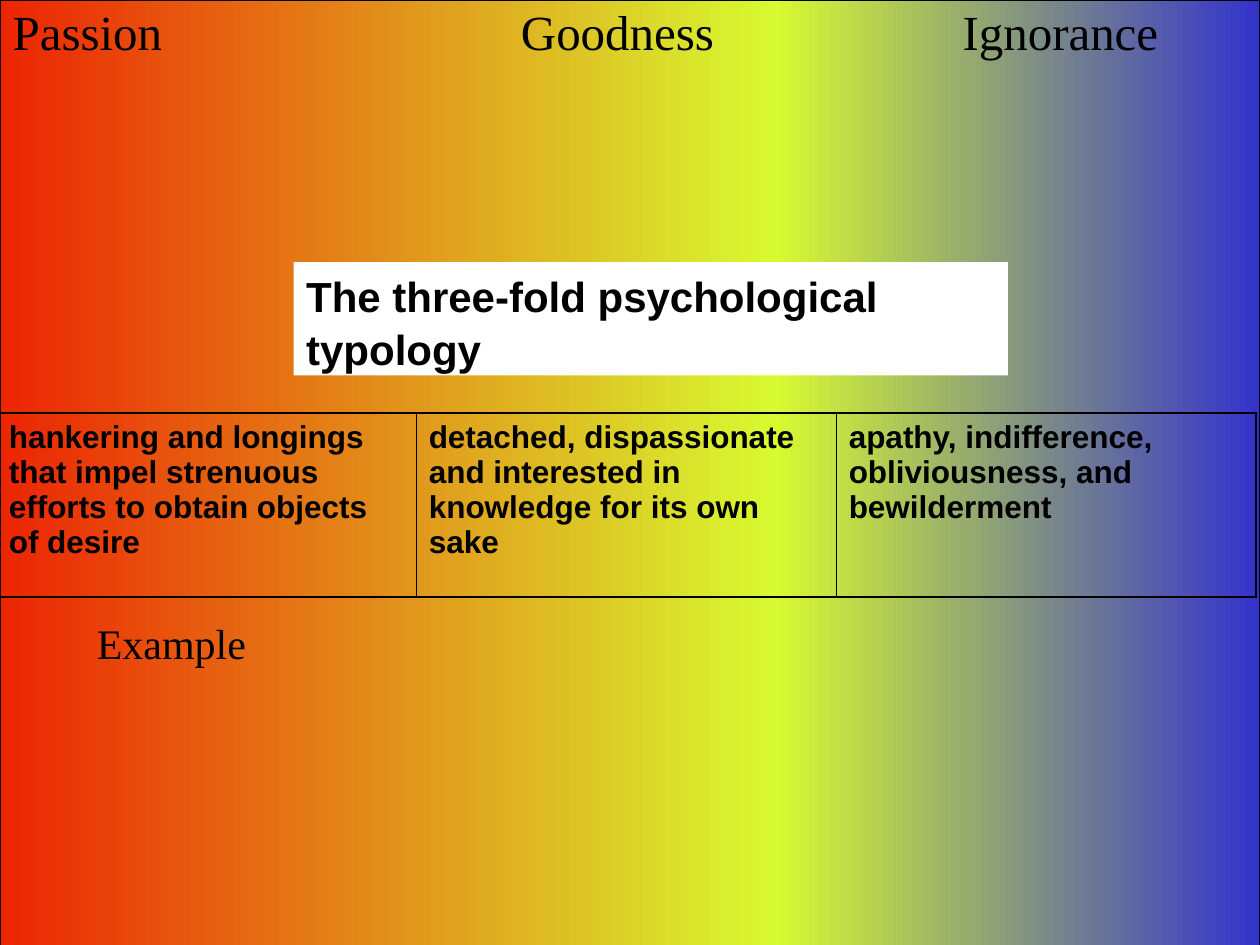
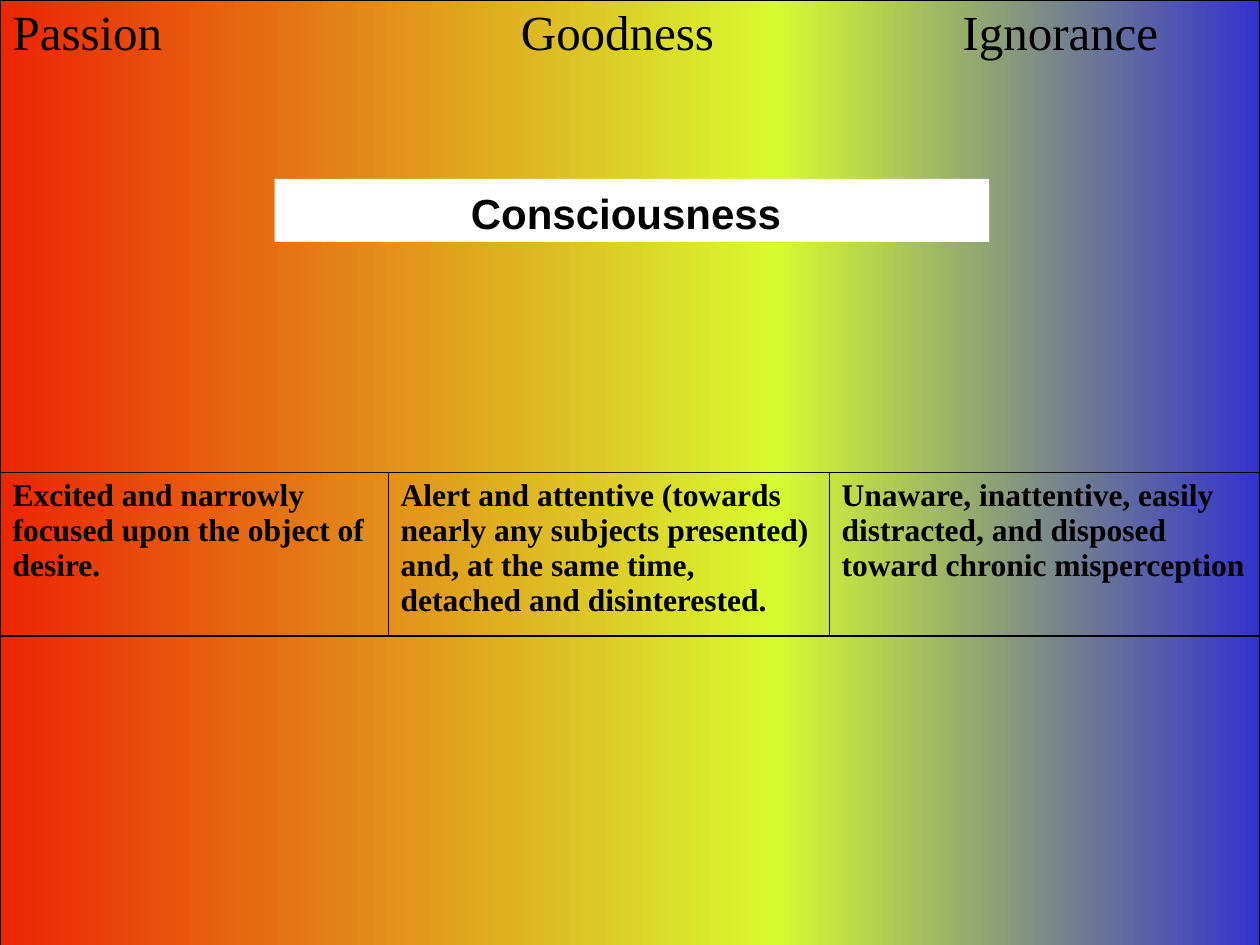
from lxml import etree
from pptx import Presentation
from pptx.dml.color import RGBColor
from pptx.enum.text import MSO_ANCHOR, MSO_AUTO_SIZE, PP_ALIGN
from pptx.oxml.ns import qn
from pptx.util import Inches, Pt

LEFT, CENTER = PP_ALIGN.LEFT, PP_ALIGN.CENTER
TOP = MSO_ANCHOR.TOP
NO_AUTOFIT = MSO_AUTO_SIZE.NONE

SERIF, SANS = "Times New Roman", "Arial"
BLACK, WHITE = "000000", "FFFFFF"
RED, YELLOW, BLUE = "EC2504", "D8FA30", "3333CC"
OUTER, INNER = 1.08, 0.45  # border widths in points
TITLE_ONLY = 5


def color(value):
    return RGBColor.from_string(value)


def style_text(tf, font, size, bold=False, align=LEFT, before=0, spacing=None):
    for p in tf.paragraphs:
        p.alignment = align
        p.space_before = Pt(before)
        p.line_spacing = spacing
        for r in p.runs:
            r.font.name = font
            r.font.size = Pt(size)
            r.font.bold = bold
            r.font.color.rgb = color(BLACK)


def set_borders(cell, **widths):
    """Draw the named sides (L, R, T, B) in black and hide the others."""
    tc_pr = cell._tc.get_or_add_tcPr()
    for side in "LRTB":
        ln = etree.SubElement(tc_pr, qn(f"a:ln{side}"))
        width = widths.get(side)
        if width:
            ln.set("w", str(Pt(width)))
            fill = etree.SubElement(ln, qn("a:solidFill"))
            etree.SubElement(fill, qn("a:srgbClr"), val=BLACK)
        else:
            etree.SubElement(ln, qn("a:noFill"))


def add_row(slide, left, top, height, widths):
    """Add a plain one-row table and return its cells."""
    frame = slide.shapes.add_table(1, len(widths), Inches(left), Inches(top),
                                   Inches(sum(widths)), Inches(height))
    table = frame.table
    table.first_row = table.horz_banding = False
    for column, width in zip(table.columns, widths):
        column.width = Inches(width)
    table.rows[0].height = Inches(height)
    return list(table.rows[0].cells)


def format_box(sp, box, text, font, bold=False, align=LEFT):
    sp.left, sp.top, sp.width, sp.height = map(Inches, box)
    tf = sp.text_frame
    tf.text = text
    tf.word_wrap = True
    tf.auto_size = NO_AUTOFIT
    tf.vertical_anchor = TOP
    style_text(tf, font, 24, bold, align, spacing=1.05)


# Spectrum behind the whole slide
def add_spectrum(slide):
    cells = add_row(slide, 0, 0, 7.5, [6.15, 3.85])
    bands = [(RED, YELLOW), (YELLOW, BLUE)]
    for cell, side, band in zip(cells, "LR", bands):
        set_borders(cell, **{side: OUTER})
        cell.fill.gradient()
        cell.fill.gradient_angle = 0
        for stop, position, value in zip(cell.fill.gradient_stops, (0, 1), band):
            stop.position = position
            stop.color.rgb = color(value)


# Names of the three types along the top
def add_type_names(slide):
    cells = add_row(slide, 0, 0, 0.81, [2.5, 4.8, 0.24, 2.49])
    names = ["Passion", "Goodness", "", "Ignorance"]
    sides = [{"L": OUTER}, {}, {}, {"R": OUTER}]
    for cell, name, side in zip(cells, names, sides):
        set_borders(cell, T=OUTER, **side)
        cell.fill.background()
        cell.text = name
        style_text(cell.text_frame, SERIF, 28, before=7,
                   align=CENTER if name == "Goodness" else LEFT)


# Description of each type
def add_descriptions(slide, left, top, height, widths, texts, font):
    cells = add_row(slide, left, top, height, widths)
    last = len(cells) - 1
    for i, (cell, text) in enumerate(zip(cells, texts)):
        set_borders(cell, T=OUTER, B=OUTER, L=INNER if i else OUTER,
                    R=INNER if i < last else OUTER)
        cell.fill.background()
        cell.text = text
        style_text(cell.text_frame, font, 18, bold=True, before=4.5)


# White title band, in front of the spectrum
def add_title(slide, box, text, align=LEFT):
    title = slide.shapes.title
    slide.shapes._spTree.append(title._element)
    format_box(title, box, text, SANS, bold=True, align=align)
    title.fill.solid()
    title.fill.fore_color.rgb = color(WHITE)


def new_slide(prs):
    slide = prs.slides.add_slide(prs.slide_layouts[TITLE_ONLY])
    add_spectrum(slide)
    add_type_names(slide)
    return slide


def build_typology(prs):
    slide = new_slide(prs)
    add_descriptions(slide, -0.03, 3.28, 1.46, [10 / 3] * 3, [
        "hankering and longings that impel strenuous efforts to obtain objects of desire",
        "detached, dispassionate and interested in knowledge for its own sake",
        "apathy, indifference, obliviousness, and bewilderment",
    ], SANS)
    add_title(slide, (2.33, 2.08, 5.67, 0.9), "The three-fold psychological typology")
    example = slide.shapes.add_textbox(0, 0, 0, 0)
    format_box(example, (0.67, 4.83, 1.58, 0.5), "Example", SERIF)


def build_consciousness(prs):
    slide = new_slide(prs)
    add_descriptions(slide, 0, 3.75, 1.3, [3.08, 3.5, 3.42], [
        "Excited and narrowly focused upon the object of desire.",
        "Alert and attentive (towards nearly any subjects presented) and, "
        "at the same time, detached and disinterested.",
        "Unaware, inattentive, easily distracted, and disposed toward chronic misperception",
    ], SERIF)
    add_title(slide, (2.18, 1.42, 5.67, 0.5), "Consciousness ", CENTER)


def main():
    prs = Presentation()
    prs.slide_width, prs.slide_height = Inches(10), Inches(7.5)
    build_typology(prs)
    build_consciousness(prs)
    prs.save("out.pptx")


if __name__ == "__main__":
    main()
